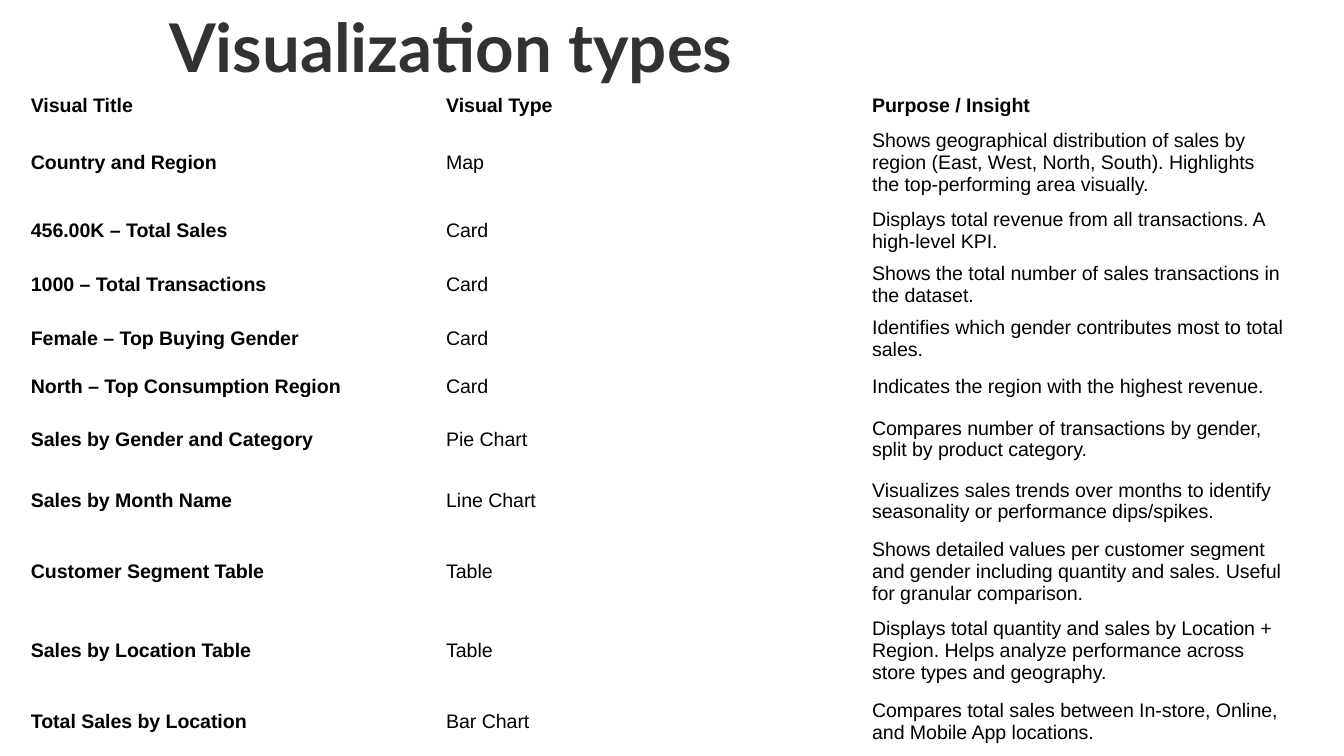
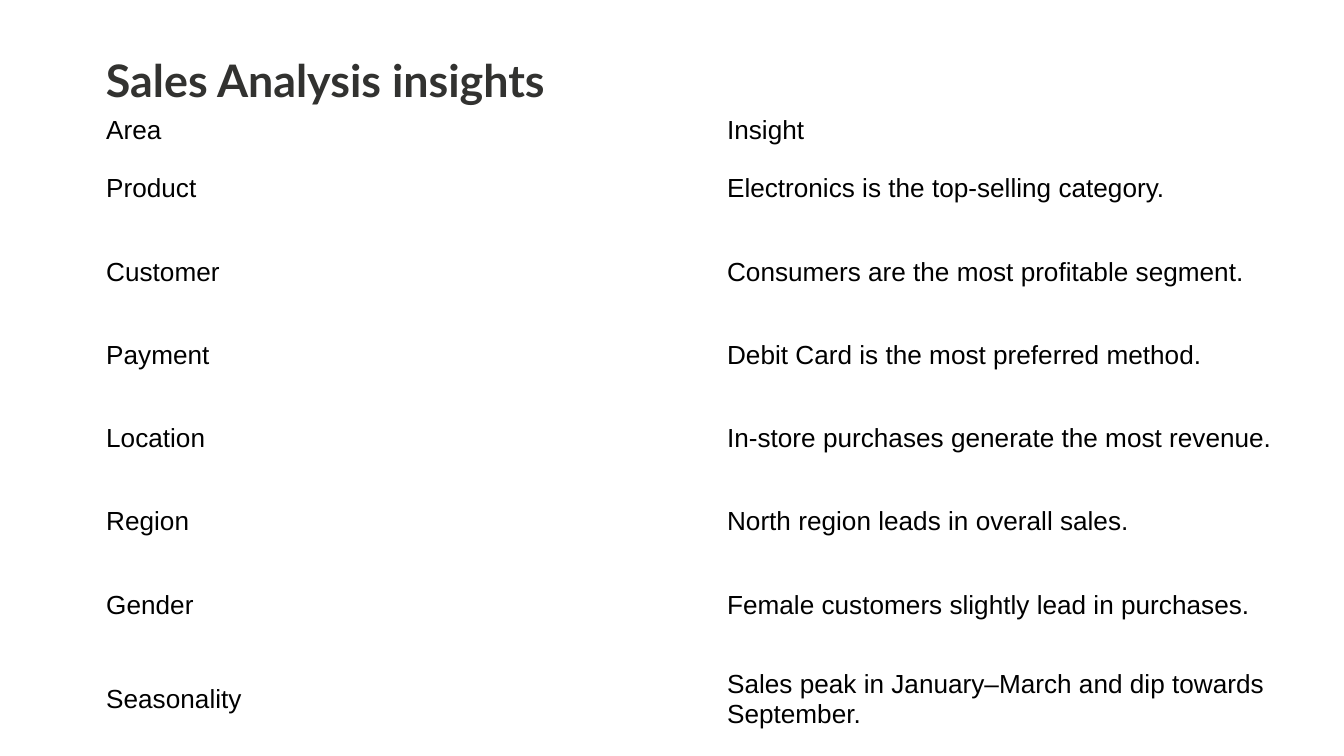
from dataclasses import dataclass

from pptx import Presentation
from pptx.dml.color import RGBColor
from pptx.enum.text import MSO_ANCHOR as Anchor, PP_ALIGN as Align
from pptx.util import Inches, Pt


@dataclass(frozen=True)
class Theme:
    heading_font: str = "Lato"
    body_font: str = "Arial"
    heading: RGBColor = RGBColor(0x32, 0x32, 0x30)
    body: RGBColor = RGBColor(0, 0, 0)
    paper: RGBColor = RGBColor(255, 255, 255)
    large_heading: float = 36
    small_heading: float = 24
    visual_size: float = 10.5
    insight_size: float = 14


THEME = Theme()

VISUALS = [
    ("Visual Title", "Visual Type", "Purpose / Insight"),
    ("Country and Region", "Map",
     "Shows geographical distribution of sales by region (East, West, North, South). "
     "Highlights the top-performing area visually."),
    ("456.00K – Total Sales", "Card",
     "Displays total revenue from all transactions. A high-level KPI."),
    ("1000 – Total Transactions", "Card",
     "Shows the total number of sales transactions in the dataset."),
    ("Female – Top Buying Gender", "Card",
     "Identifies which gender contributes most to total sales."),
    ("North – Top Consumption Region", "Card",
     "Indicates the region with the highest revenue."),
    ("Sales by Gender and Category", "Pie Chart",
     "Compares number of transactions by gender, split by product category."),
    ("Sales by Month Name", "Line Chart",
     "Visualizes sales trends over months to identify seasonality or performance dips/spikes."),
    ("Customer Segment Table", "Table",
     "Shows detailed values per customer segment and gender including quantity and sales. "
     "Useful for granular comparison."),
    ("Sales by Location Table", "Table",
     "Displays total quantity and sales by Location + Region. "
     "Helps analyze performance across store types and geography."),
    ("Total Sales by Location", "Bar Chart",
     "Compares total sales between In-store, Online, and Mobile App locations."),
]

INSIGHTS = [
    ("Area", "Insight"),
    ("Product", "Electronics is the top-selling category."),
    ("Customer", "Consumers are the most profitable segment."),
    ("Payment", "Debit Card is the most preferred method."),
    ("Location", "In-store purchases generate the most revenue."),
    ("Region", "North region leads in overall sales."),
    ("Gender", "Female customers slightly lead in purchases."),
    ("Seasonality", "Sales peak in January–March and dip towards September."),
]

SLIDES = [
    dict(
        heading="Visualization types", heading_box=(0.09, -0.06, 6.53, 0.48),
        heading_size=THEME.large_heading, align=Align.CENTER,
        rows=VISUALS, corner=(0.18, 0.68), widths=(3.09, 3.17, 3.17),
        heights=(0.22, 0.62, 0.4, 0.4, 0.4, 0.32, 0.46, 0.46, 0.59, 0.59, 0.46),
        size=THEME.visual_size, margins=(0.05, 0.02), bold_labels=True,
    ),
    dict(
        heading="Sales Analysis insights", heading_box=(0.69, 0.29, 5.91, 0.56),
        heading_size=THEME.small_heading, align=Align.LEFT,
        rows=INSIGHTS, corner=(0.69, 0.8), widths=(4.62, 4.62),
        heights=(0.32, 0.54, 0.7, 0.54, 0.7, 0.54, 0.7, 0.7),
        size=THEME.insight_size, margins=(0.1, 0.05), bold_labels=False,
    ),
]


def set_margins(target, across, down):
    target.margin_left = target.margin_right = Inches(across)
    target.margin_top = target.margin_bottom = Inches(down)


def write(frame, words, font, size, color, bold):
    run = frame.paragraphs[0].add_run()
    run.text = words
    run.font.name = font
    run.font.size = Pt(size)
    run.font.color.rgb = color
    run.font.bold = bold


def add_heading(slide, content):
    frame = slide.shapes.add_textbox(*map(Inches, content["heading_box"])).text_frame
    frame.word_wrap = True
    frame.vertical_anchor = Anchor.TOP
    set_margins(frame, 0.1, 0.1)
    frame.paragraphs[0].alignment = content["align"]
    write(frame, content["heading"], THEME.heading_font,
          content["heading_size"], THEME.heading, True)


def add_grid(slide, content):
    rows, widths, heights = content["rows"], content["widths"], content["heights"]
    extent = (*content["corner"], sum(widths), sum(heights))
    grid = slide.shapes.add_table(len(rows), len(widths), *map(Inches, extent)).table
    grid.first_row = grid.horz_banding = False
    for column, width in zip(grid.columns, widths):
        column.width = Inches(width)
    for r, (entries, height) in enumerate(zip(rows, heights)):
        grid.rows[r].height = Inches(height)
        for c, words in enumerate(entries):
            cell = grid.cell(r, c)
            cell.fill.background()
            cell.vertical_anchor = Anchor.MIDDLE
            set_margins(cell, *content["margins"])
            bold = content["bold_labels"] and (r == 0 or c == 0)
            write(cell.text_frame, words, THEME.body_font,
                  content["size"], THEME.body, bold)


def main():
    deck = Presentation()
    deck.slide_width = Inches(10)
    deck.slide_height = deck.slide_width * 9 // 16
    for content in SLIDES:
        slide = deck.slides.add_slide(deck.slide_layouts[6])
        slide.background.fill.solid()
        slide.background.fill.fore_color.rgb = THEME.paper
        add_heading(slide, content)
        add_grid(slide, content)
    deck.save("out.pptx")


if __name__ == "__main__":
    main()
